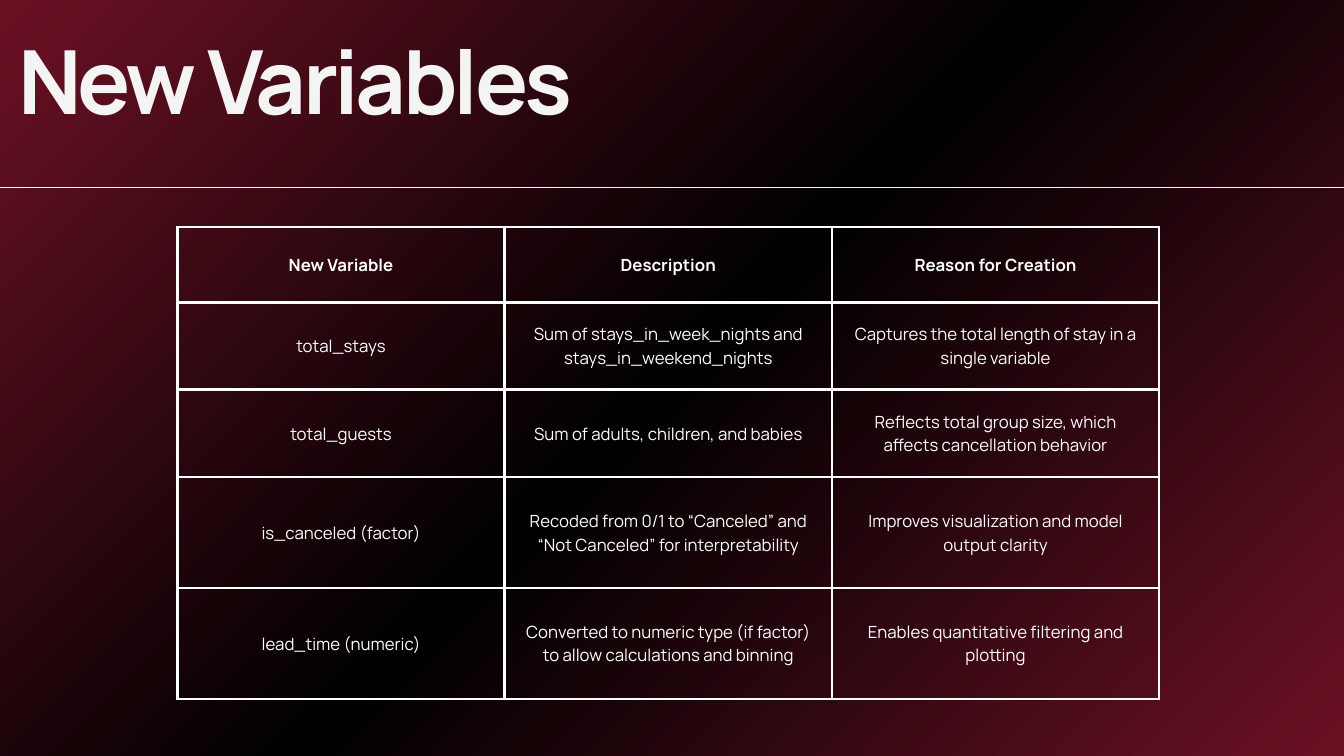
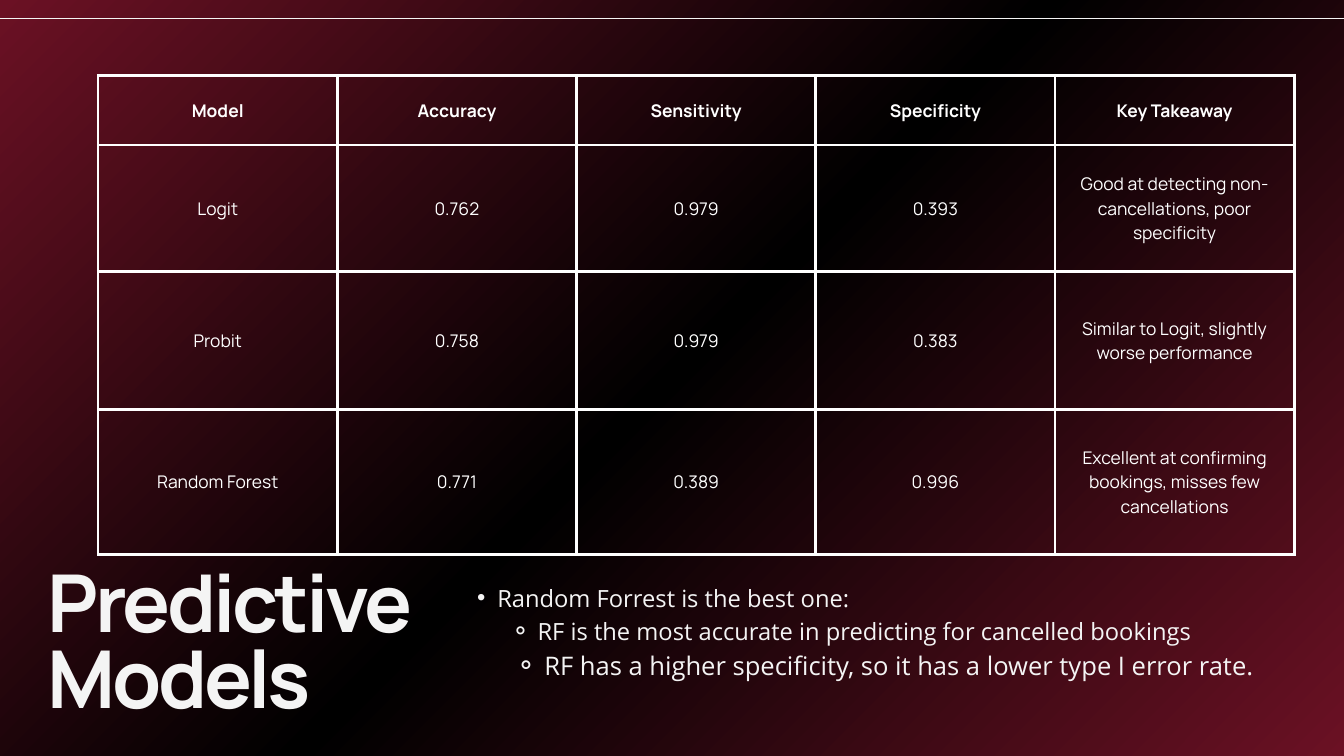
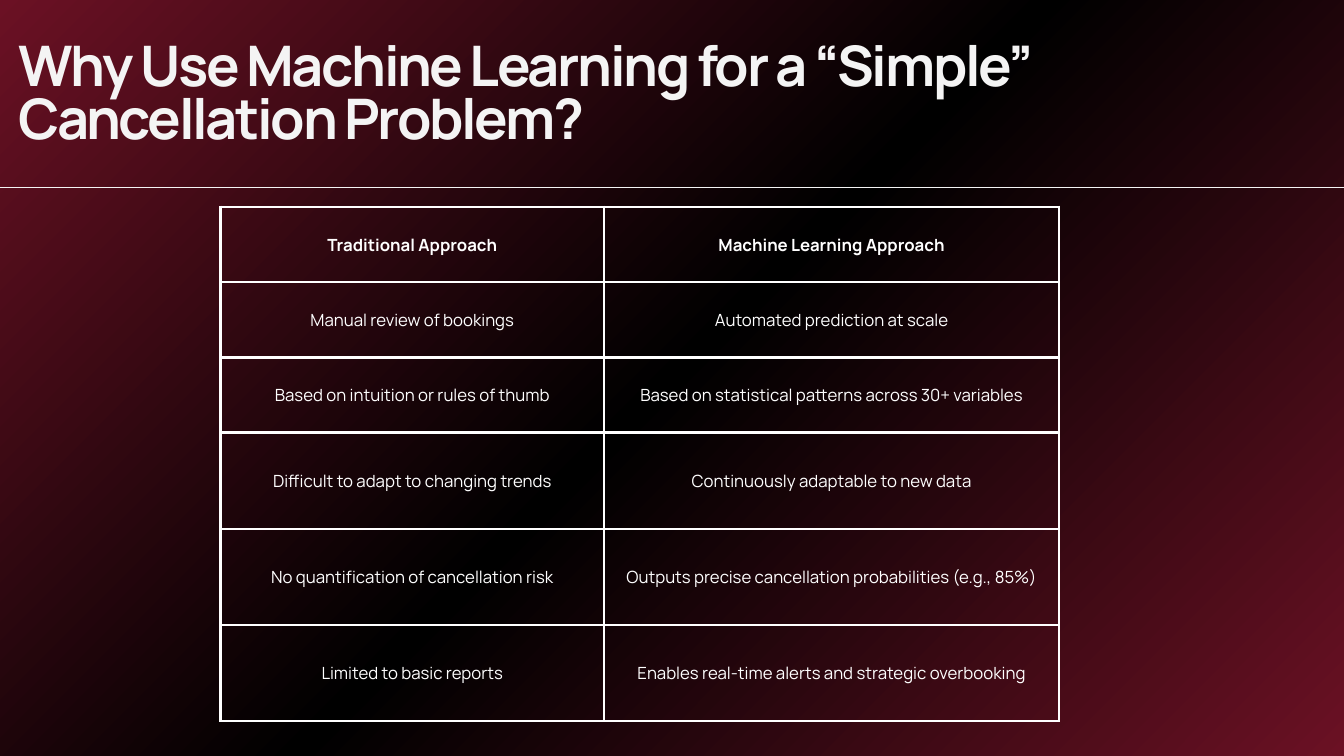
from copy import deepcopy
from dataclasses import dataclass

from lxml.etree import SubElement
from pptx import Presentation
from pptx.dml.color import RGBColor
from pptx.enum.shapes import MSO_CONNECTOR
from pptx.enum.text import MSO_ANCHOR, MSO_AUTO_SIZE, PP_ALIGN
from pptx.oxml.ns import qn
from pptx.util import Inches, Pt


@dataclass(frozen=True)
class Theme:
    wine: str = "6B1124"
    black: str = "000000"
    white: str = "FFFFFF"
    pale: str = "F4F4F4"
    display: str = "Manrope"
    body: str = "Open Sans"
    leading: float = 1.4
    title_leading: float = 0.95
    title_tracking: float = -0.042
    rule: float = 0.75


T = Theme()
WIDTH, HEIGHT = 20, 11.25

SLIDES = [
    {
        "title": ("New Variables", 94.8, (0.27, 0.71, 11.34, 1.43)),
        "rule": 2.79,
        "table": {
            "at": (2.64, 3.38), "cols": [4.87] * 3, "rows": [1.12, 1.3, 1.3, 1.65, 1.65],
            "size": 18, "inset": 0.21, "border": 3,
            "cells": [
                ("New Variable", "Description", "Reason for Creation"),
                ("total_stays", "Sum of stays_in_week_nights and stays_in_weekend_nights",
                 "Captures the total length of stay in a single variable"),
                ("total_guests", "Sum of adults, children, and babies",
                 "Reflects total group size, which affects cancellation behavior"),
                ("is_canceled (factor)",
                 "Recoded from 0/1 to “Canceled” and “Not Canceled” for interpretability",
                 "Improves visualization and model output clarity"),
                ("lead_time (numeric)",
                 "Converted to numeric type (if factor) to allow calculations and binning",
                 "Enables quantitative filtering and plotting"),
            ],
        },
    },
    {
        "title": ("Predictive Models", 85.5, (0.71, 8.52, 7.7, 2.42)),
        "rule": 0.27,
        "table": {
            "at": (1.46, 1.12), "cols": [3.56] * 5, "rows": [1.04, 1.88, 2.05, 2.16],
            "size": 18.7, "inset": 0.22, "border": 3.25,
            "cells": [
                ("Model", "Accuracy", "Sensitivity", "Specificity", "Key Takeaway"),
                ("Logit", "0.762", "0.979", "0.393",
                 "Good at detecting non-cancellations, poor specificity"),
                ("Probit", "0.758", "0.979", "0.383",
                 "Similar to Logit, slightly worse performance"),
                ("Random Forest", "0.771", "0.389", "0.996",
                 "Excellent at confirming bookings, misses few cancellations"),
            ],
        },
        "notes_at": (6.8, 8.61, 12.44, 2.21),
        "findings": [
            ("Random Forrest is the best one:", 1, "•", 25.4, 0.6, 0.3),
            ("RF is the most accurate in predicting for cancelled bookings",
             2, "⚬", 25.4, 1.2, 0.4),
            ("RF has a higher specificity, so it has a lower type I error rate.",
             2, "⚬", 27.4, 1.3, 0.43),
        ],
    },
    {
        "title": ("Why Use Machine Learning for a “Simple” Cancellation Problem?",
                  59.9, (0.27, 0.66, 19.47, 1.68)),
        "rule": 2.79,
        "table": {
            "at": (3.28, 3.08), "cols": [5.71, 6.77], "rows": [1.12] * 3 + [1.43] * 3,
            "size": 18, "inset": 0.21, "border": 3,
            "cells": [
                ("Traditional Approach", "Machine Learning Approach"),
                ("Manual review of bookings", "Automated prediction at scale"),
                ("Based on intuition or rules of thumb",
                 "Based on statistical patterns across 30+ variables"),
                ("Difficult to adapt to changing trends", "Continuously adaptable to new data"),
                ("No quantification of cancellation risk",
                 "Outputs precise cancellation probabilities (e.g., 85%)"),
                ("Limited to basic reports", "Enables real-time alerts and strategic overbooking"),
            ],
        },
    },
]


def rgb(color):
    return RGBColor.from_string(color)


def add_run(p, text, size, font, color, bold=False, leading=T.leading):
    p.line_spacing = Pt(round(size * leading, 1))
    r = p.add_run()
    r.text = text
    r.font.size, r.font.name, r.font.bold = Pt(size), font, bold
    r.font.color.rgb = rgb(color)
    return r


def prepare_frame(tf):
    tf.word_wrap = True
    tf.auto_size = MSO_AUTO_SIZE.NONE
    tf.vertical_anchor = MSO_ANCHOR.TOP
    tf.margin_left = tf.margin_right = tf.margin_top = tf.margin_bottom = 0


def paint_background(master):
    fill = master.background.fill
    fill.gradient()
    fill.gradient_angle = 315
    stops = master.element.find(".//" + qn("a:gsLst"))
    stops.append(deepcopy(stops[0]))
    for i, (stop, color) in enumerate(zip(fill.gradient_stops, (T.wine, T.black, T.wine))):
        stop.position = i / 2
        stop.color.rgb = rgb(color)


def add_title(s, text, size, at):
    sp = s.shapes.title
    sp.left, sp.top, sp.width, sp.height = map(Inches, at)
    prepare_frame(sp.text_frame)
    p = sp.text_frame.paragraphs[0]
    p.alignment = PP_ALIGN.LEFT
    r = add_run(p, text, size, T.display, T.pale, True, T.title_leading)
    r.font._element.set("spc", str(round(size * T.title_tracking * 100)))


def add_rule(s, y):
    line = s.shapes.add_connector(MSO_CONNECTOR.STRAIGHT, 0, Inches(y), Inches(WIDTH), Inches(y))
    line.line.color.rgb = rgb(T.pale)
    line.line.width = Pt(T.rule)
    SubElement(line._element.spPr, qn("a:effectLst"))


def add_borders(cell, width):
    tcPr = cell._tc.get_or_add_tcPr()
    for i, side in enumerate("LRTB"):
        ln = SubElement(tcPr, qn("a:ln" + side), w=str(Pt(width)))
        SubElement(SubElement(ln, qn("a:solidFill")), qn("a:srgbClr"), val=T.white)
        tcPr.insert(i, ln)


def add_grid(s, at, cols, rows, size, inset, border, cells):
    box = [Inches(v) for v in (*at, sum(cols), sum(rows))]
    table = s.shapes.add_table(len(rows), len(cols), *box).table
    table.first_row = table.horz_banding = False
    for col, width in zip(table.columns, cols):
        col.width = Inches(width)
    for i, (row, height) in enumerate(zip(table.rows, rows)):
        row.height = Inches(height)
        for cell, text in zip(row.cells, cells[i]):
            cell.fill.background()
            cell.vertical_anchor = MSO_ANCHOR.MIDDLE
            cell.margin_left = cell.margin_right = Inches(inset)
            cell.margin_top = cell.margin_bottom = Inches(inset)
            p = cell.text_frame.paragraphs[0]
            p.alignment = PP_ALIGN.CENTER
            add_run(p, text, size, T.display, T.white, bold=i == 0)
            add_borders(cell, border)


def add_findings(s, at, findings):
    tf = s.shapes.add_textbox(*map(Inches, at)).text_frame
    prepare_frame(tf)
    for i, (text, level, bullet, size, margin, hang) in enumerate(findings):
        p = tf.add_paragraph() if i else tf.paragraphs[0]
        p.level = level
        add_run(p, text, size, T.body, T.pale)
        pPr = p._p.get_or_add_pPr()
        pPr.set("marL", str(Inches(margin)))
        pPr.set("indent", str(-Inches(hang)))
        SubElement(pPr, qn("a:buFont"), typeface="Arial")
        SubElement(pPr, qn("a:buChar"), char=bullet)


def main():
    prs = Presentation()
    prs.slide_width, prs.slide_height = Inches(WIDTH), Inches(HEIGHT)
    paint_background(prs.slide_master)
    for content in SLIDES:
        s = prs.slides.add_slide(prs.slide_layouts[5])
        add_rule(s, content["rule"])
        add_grid(s, **content["table"])
        add_title(s, *content["title"])
        if "findings" in content:
            add_findings(s, content["notes_at"], content["findings"])
    prs.save("out.pptx")


if __name__ == "__main__":
    main()
